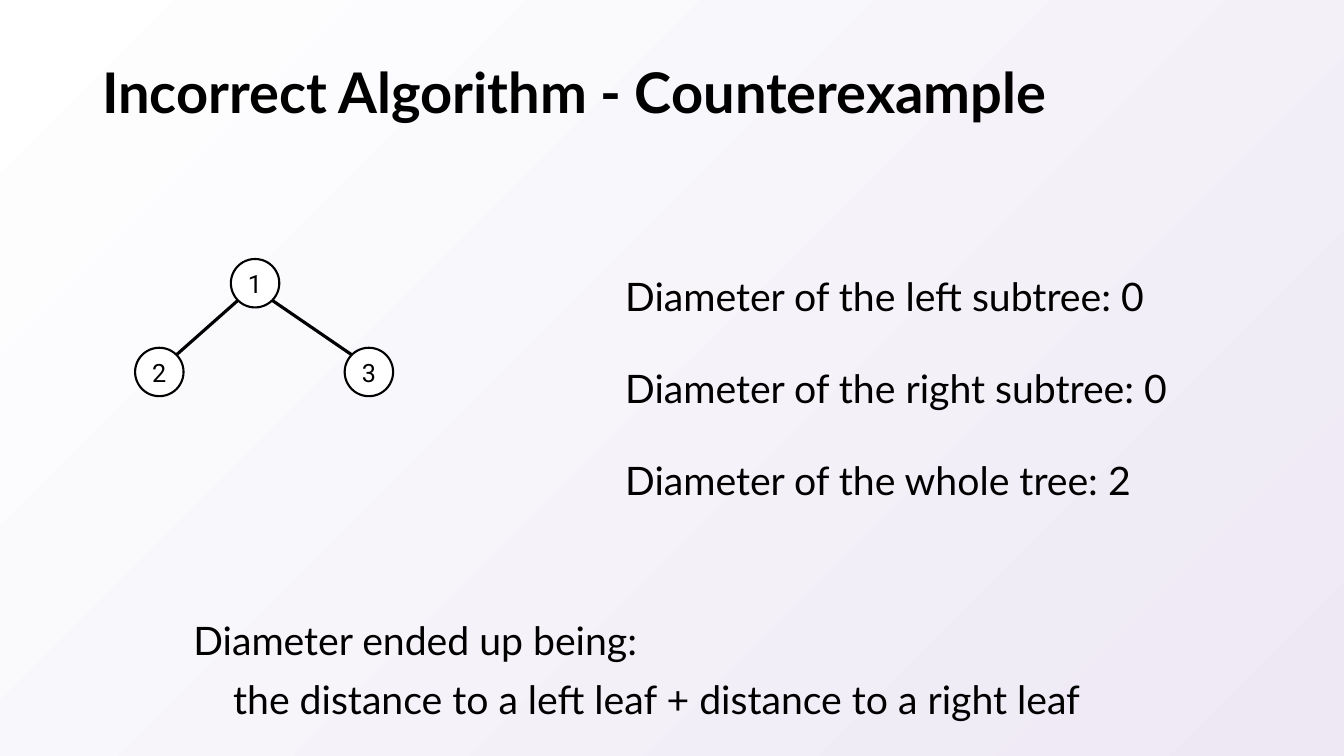
from math import sqrt

from lxml.etree import SubElement
from pptx import Presentation
from pptx.dml.color import RGBColor
from pptx.enum.shapes import MSO_CONNECTOR as CONN, MSO_SHAPE as SHAPE
from pptx.enum.text import MSO_ANCHOR as ANCHOR, PP_ALIGN as ALIGN
from pptx.oxml.ns import qn
from pptx.util import Pt

COLORS = {"ink": "000000", "node": "FFFFFF", "bg_start": "FFFFFF", "bg_end": "EDE8F4"}

TITLE = "Incorrect Algorithm - Counterexample"
DIAMETERS = [
    "Diameter of the left subtree: 0",
    "Diameter of the right subtree: 0",
    "Diameter of the whole tree: 2",
]
CONCLUSION = [
    "Diameter ended up being:",
    "the distance to a left leaf + distance to a right leaf",
]
NODES = {"1": (182.2, 202.3), "2": (113.8, 265.7), "3": (263.5, 265.7)}  # centres
EDGES = [("1", "2"), ("1", "3")]
NODE_SIZE = 34.6


def rgb(name):
    return RGBColor.from_string(COLORS[name])


def write(sp, lines, size=28, font="Lato", bold=False, align=ALIGN.LEFT,
          anchor=ANCHOR.TOP, spacing=1.25, gap=0, hanging=0, inset=None):
    """Fill a shape with paragraphs; hanging indents all but the first."""
    tf = sp.text_frame
    tf.word_wrap = True
    tf.vertical_anchor = anchor
    if inset is not None:
        tf.margin_left = tf.margin_right = tf.margin_top = tf.margin_bottom = Pt(inset)
    for i, line in enumerate(lines):
        p = tf.paragraphs[0] if i == 0 else tf.add_paragraph()
        p.alignment = align
        p.line_spacing = spacing
        if i and gap:
            p.space_before = Pt(gap)
        if i and hanging:
            p._p.get_or_add_pPr().set("marL", str(Pt(hanging)))
        r = p.add_run()
        r.text = line
        r.font.size, r.font.name, r.font.bold = Pt(size), font, bold
        r.font.color.rgb = rgb("ink")


def add_text(slide, box, lines, **fmt):
    write(slide.shapes.add_textbox(*map(Pt, box)), lines, **fmt)


def add_node(slide, label):
    x, y = NODES[label]
    half = NODE_SIZE / 2
    sp = slide.shapes.add_shape(SHAPE.OVAL, Pt(x - half), Pt(y - half),
                                Pt(NODE_SIZE), Pt(NODE_SIZE))
    sp.shadow.inherit = False
    sp.fill.solid()
    sp.fill.fore_color.rgb = rgb("node")
    sp.line.color.rgb = rgb("ink")
    sp.line.width = Pt(1.5)
    write(sp, [label], size=18, font="Roboto", align=ALIGN.CENTER,
          anchor=ANCHOR.MIDDLE, spacing=1, inset=0)


def add_edge(slide, parent, child):
    """Join the diagonal points of two circles that face each other."""
    (x1, y1), (x2, y2) = NODES[parent], NODES[child]
    d = NODE_SIZE / 2 / sqrt(2)
    dx = d if x2 > x1 else -d
    line = slide.shapes.add_connector(CONN.STRAIGHT, Pt(x1 + dx), Pt(y1 + d),
                                      Pt(x2 - dx), Pt(y2 - d))
    line.line.color.rgb = rgb("ink")
    line.line.width = Pt(2.25)
    SubElement(line._element.spPr, qn("a:effectLst"))


def main():
    prs = Presentation()
    prs.slide_width, prs.slide_height = Pt(960), Pt(540)
    slide = prs.slides.add_slide(prs.slide_layouts[6])

    bg = slide.background.fill
    bg.gradient()
    bg.gradient_angle = 315
    for stop, name in zip(bg.gradient_stops, ("bg_start", "bg_end")):
        stop.color.rgb = rgb(name)

    add_text(slide, (66, 28.75, 828, 78.5), [TITLE], size=40, bold=True,
             anchor=ANCHOR.MIDDLE, spacing=0.9)
    for label in NODES:
        add_node(slide, label)
    for parent, child in EDGES:
        add_edge(slide, parent, child)
    add_text(slide, (439.5, 182.2, 408.5, 178.6), DIAMETERS, gap=24)
    add_text(slide, (131, 428.4, 671, 87.8), CONCLUSION, hanging=28.5)

    prs.save("out.pptx")


if __name__ == "__main__":
    main()
